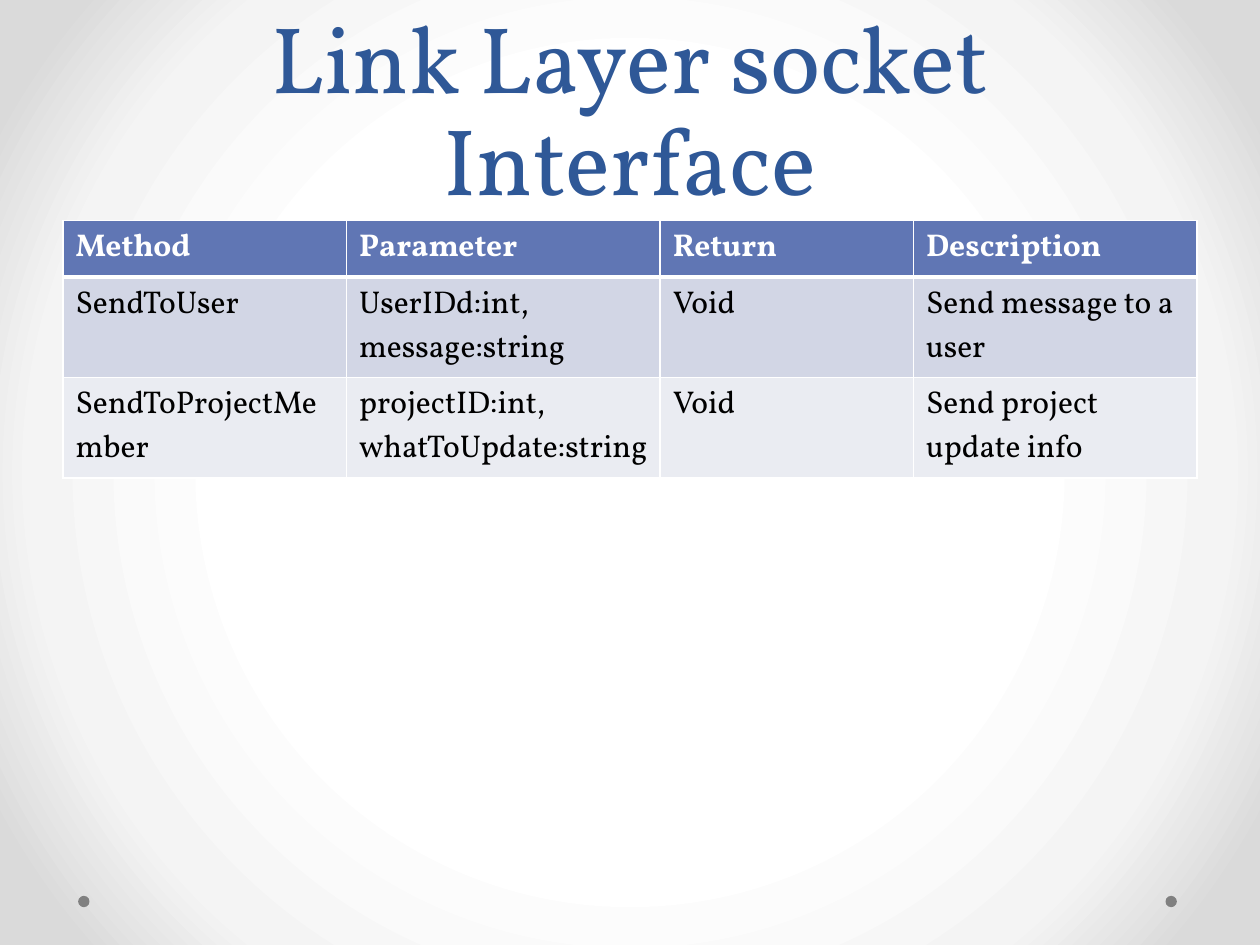
from lxml import etree
from pptx import Presentation
from pptx.dml.color import RGBColor
from pptx.enum import shapes, text
from pptx.oxml import parse_xml
from pptx.oxml import ns
from pptx.util import Inches, Pt

TITLE = "Link Layer socket Interface"
METHODS = [
    ("Method", "Parameter", "Return", "Description"),
    ("SendToUser", "UserIDd:int, message:string", "Void", "Send message to a user"),
    ("SendToProjectMember", "projectID:int, whatToUpdate:string", "Void",
     "Send project update info"),
]
COLUMN_WIDTHS = (2.25, 2.49, 2.01, 2.25)
ROW_HEIGHT = 0.41
DOT_LEFTS = (9.25, 0.62)
DOT_TOP, DOT_SIZE = 7.11, 0.09

THEME = {
    "font": "Vollkorn",
    "title_size": 54, "title_line": 58, "title": "2F5897",
    "table_size": 18, "header_text": "FFFFFF", "body_text": "000000",
    "row_fills": ("6076B4", "D2D6E5", "EAECF2"),
    "border": "FFFFFF", "dot": "808080",
    "background": ((50, "FFFFFF"), (76, "F4F4F4"), (92, "DADADA")),
}


def paint_background(slide):
    stops = "".join(
        f'<a:gs pos="{position * 1000}"><a:srgbClr val="{color}"/></a:gs>'
        for position, color in THEME["background"])
    background = parse_xml(
        f'<p:bg {ns.nsdecls("p", "a")}><p:bgPr><a:gradFill rotWithShape="1">'
        f'<a:gsLst>{stops}</a:gsLst><a:path path="circle">'
        '<a:fillToRect l="50000" t="50000" r="50000" b="50000"/></a:path>'
        '</a:gradFill><a:effectLst/></p:bgPr></p:bg>')
    slide.element.cSld.insert(0, background)


def add_run(paragraph, words, size, color, bold=False):
    run = paragraph.add_run()
    run.text = words
    run.font.name = THEME["font"]
    run.font.size = Pt(size)
    run.font.bold = bold
    run.font.color.rgb = RGBColor.from_string(color)


def add_dots(slide):
    for left in DOT_LEFTS:
        dot = slide.shapes.add_shape(
            shapes.MSO_SHAPE.OVAL, Inches(left), Inches(DOT_TOP),
            Inches(DOT_SIZE), Inches(DOT_SIZE))
        dot.shadow.inherit = False
        dot.fill.solid()
        dot.fill.fore_color.rgb = RGBColor.from_string(THEME["dot"])
        dot.line.fill.background()


def fill_title(title):
    title.left, title.top = Inches(0.5), Inches(0)
    title.width, title.height = Inches(9), Inches(1.75)
    frame = title.text_frame
    frame.word_wrap = True
    frame.auto_size = text.MSO_AUTO_SIZE.NONE
    frame.vertical_anchor = text.MSO_ANCHOR.BOTTOM
    heading = frame.paragraphs[0]
    heading.alignment = text.PP_ALIGN.CENTER
    heading.line_spacing = Pt(THEME["title_line"])
    add_run(heading, TITLE, THEME["title_size"], THEME["title"])


def set_borders(cell, widths):
    """Draw the cell's edges; widths maps L, R, T and B to points."""
    properties = cell._tc.get_or_add_tcPr()
    for index, (side, width) in enumerate(widths.items()):
        edge = etree.Element(ns.qn(f"a:ln{side}"), w=str(Pt(width)))
        solid = etree.SubElement(edge, ns.qn("a:solidFill"))
        etree.SubElement(solid, ns.qn("a:srgbClr"), val=THEME["border"])
        properties.insert(index, edge)


def add_methods_table(slide):
    table = slide.shapes.add_table(
        len(METHODS), len(COLUMN_WIDTHS), Inches(0.5), Inches(1.75),
        Inches(sum(COLUMN_WIDTHS)), Inches(ROW_HEIGHT * len(METHODS))).table
    for column, width in zip(table.columns, COLUMN_WIDTHS):
        column.width = Inches(width)
    for row_index, (row, entries) in enumerate(zip(table.rows, METHODS)):
        row.height = Inches(ROW_HEIGHT)
        header = row_index == 0
        color = THEME["header_text" if header else "body_text"]
        widths = {"L": 1, "R": 1, "T": 3 if row_index == 1 else 1,
                  "B": 3 if header else 1}
        for cell, entry in zip(row.cells, entries):
            cell.fill.solid()
            cell.fill.fore_color.rgb = RGBColor.from_string(
                THEME["row_fills"][row_index])
            set_borders(cell, widths)
            add_run(cell.text_frame.paragraphs[0], entry,
                    THEME["table_size"], color, bold=header)


def main():
    deck = Presentation()
    deck.slide_width, deck.slide_height = Inches(10), Inches(7.5)
    slide = deck.slides.add_slide(deck.slide_layouts[5])
    paint_background(slide)
    add_dots(slide)
    fill_title(slide.shapes.title)
    add_methods_table(slide)
    deck.save("out.pptx")


if __name__ == "__main__":
    main()
